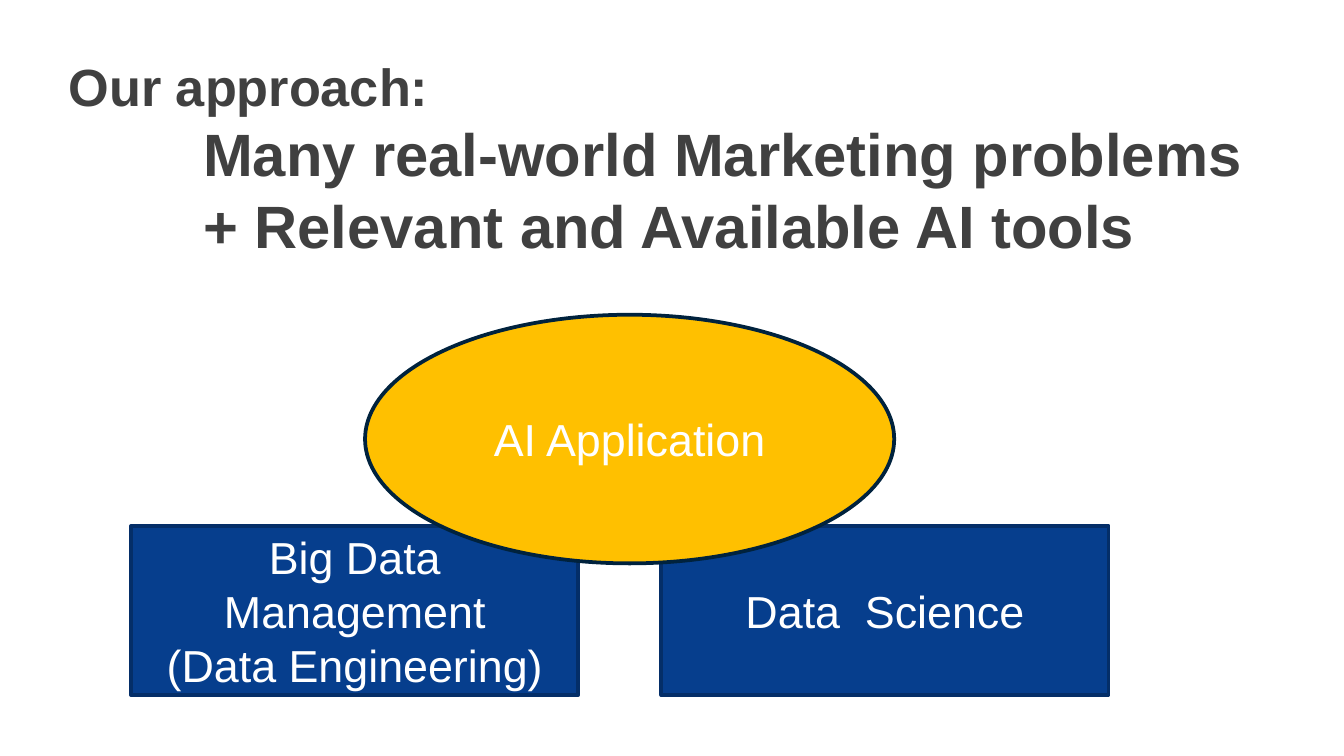
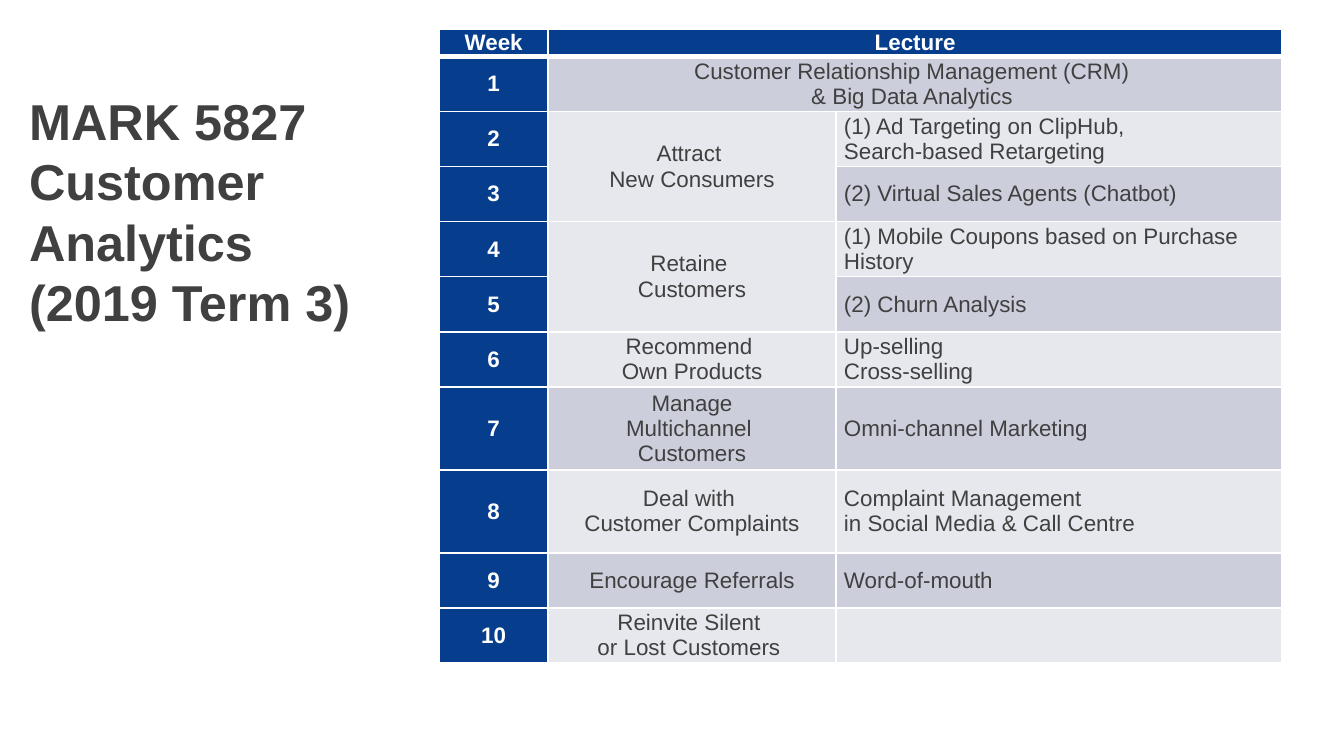
from dataclasses import dataclass

from lxml import etree
from pptx import Presentation
from pptx.dml.color import RGBColor
from pptx.enum import shapes, text
from pptx.oxml import ns
from pptx.util import Cm, Pt

FONT = "Arial"
WHITE, INK = "FFFFFF", "404040"
BLUE, BLUE_EDGE = "063E8D", "042E68"
GOLD, GOLD_EDGE = "FFC000", "00223D"
LIGHT, DARK = "E7E8EE", "CCCEDB"
CENTER, LEFT = text.PP_ALIGN.CENTER, text.PP_ALIGN.LEFT
TAB_STOP = Cm(2.54)


@dataclass
class Title:
    words: str
    left: float
    top: float
    width: float
    height: float
    sizes: tuple[int, ...]


@dataclass
class Block:
    words: str
    kind: shapes.MSO_SHAPE
    left: float
    top: float
    width: float
    height: float
    fill: str = BLUE
    edge: str = BLUE_EDGE


@dataclass
class Week:
    topic: str
    detail: str = ""
    height: float = 1.04
    topic_rows: int = 1
    topic_columns: int = 1


APPROACH_TITLE = Title(
    "Our approach: \v\tMany real-world Marketing problems \v\t+ Relevant and Available AI tools",
    1.3, 1.02, 22.86, 4.55, (28, 32))
COURSE_TITLE = Title("MARK 5827 Customer Analytics \v(2019 Term 3)", 0.55, 1.7, 6.96, 5.03, (27,))

BLOCKS = [
    Block("Big Data Management\n(Data Engineering)", shapes.MSO_SHAPE.RECTANGLE, 2.48, 9.94, 8.45, 3.2),
    Block("Data  Science", shapes.MSO_SHAPE.RECTANGLE, 12.5, 9.94, 8.45, 3.2),
    Block("AI Application", shapes.MSO_SHAPE.OVAL, 6.9, 5.95, 10, 4.7, GOLD, GOLD_EDGE),
]

COLUMN_WIDTHS = [2.06, 5.44, 8.43]
HEADER_HEIGHT = 0.52
WEEKS = [
    Week("Customer Relationship Management (CRM) \v& Big Data Analytics ", topic_columns=2),
    Week("Attract \vNew Consumers", "(1) Ad Targeting on ClipHub, \vSearch-based Retargeting", topic_rows=2),
    Week("", "(2) Virtual Sales Agents (Chatbot)"),
    Week("Retaine \vCustomers", "(1) Mobile Coupons based on Purchase History", topic_rows=2),
    Week("", "(2) Churn Analysis"),
    Week("Recommend \vOwn Products", "Up-selling\vCross-selling"),
    Week("Manage\vMultichannel \vCustomers", "Omni-channel Marketing", 1.57),
    Week("Deal with \vCustomer Complaints", "Complaint Management \vin Social Media & Call Centre", 1.57),
    Week("Encourage Referrals", "Word-of-mouth"),
    Week("Reinvite Silent \vor Lost Customers "),
]


def rgb(value: str) -> RGBColor:
    return RGBColor.from_string(value)


def style_text(frame, sizes: tuple[int, ...], color: str, bold: bool, align) -> None:
    for paragraph in frame.paragraphs:
        paragraph.alignment = align
        for index, run in enumerate(paragraph.runs):
            run.font.name = FONT
            run.font.size = Pt(sizes[min(index, len(sizes) - 1)])
            run.font.bold = bold
            run.font.color.rgb = rgb(color)


def set_tab_stop(paragraph) -> None:
    stops = etree.SubElement(paragraph._p.get_or_add_pPr(), ns.qn("a:tabLst"))
    etree.SubElement(stops, ns.qn("a:tab"), pos=str(TAB_STOP), algn="l")


def draw_title(slide, title: Title) -> None:
    box = slide.shapes.add_textbox(Cm(title.left), Cm(title.top), Cm(title.width), Cm(title.height))
    frame = box.text_frame
    frame.word_wrap = True
    frame.margin_left = frame.margin_right = frame.margin_top = frame.margin_bottom = 0
    frame.text = title.words
    style_text(frame, title.sizes, INK, True, LEFT)
    set_tab_stop(frame.paragraphs[0])


def draw_block(slide, block: Block) -> None:
    shape = slide.shapes.add_shape(
        block.kind, Cm(block.left), Cm(block.top), Cm(block.width), Cm(block.height))
    shape.shadow.inherit = False
    shape.fill.solid()
    shape.fill.fore_color.rgb = rgb(block.fill)
    shape.line.color.rgb = rgb(block.edge)
    shape.line.width = Pt(2)
    frame = shape.text_frame
    frame.word_wrap = True
    frame.vertical_anchor = text.MSO_ANCHOR.MIDDLE
    frame.text = block.words
    style_text(frame, (24,), WHITE, False, CENTER)


def draw_borders(cell, bottom: int) -> None:
    properties = cell._tc.get_or_add_tcPr()
    for side, width in (("L", 1), ("R", 1), ("T", 1), ("B", bottom)):
        line = etree.SubElement(properties, ns.qn(f"a:ln{side}"), w=str(Pt(width)))
        fill = etree.SubElement(line, ns.qn("a:solidFill"))
        etree.SubElement(fill, ns.qn("a:srgbClr"), val=WHITE)


def fill_cell(cell, words: str, fill: str, align=CENTER, heading: bool = False, bottom: int = 1) -> None:
    draw_borders(cell, bottom)
    cell.fill.solid()
    cell.fill.fore_color.rgb = rgb(fill)
    cell.margin_left = cell.margin_right = Cm(0.15)
    cell.margin_top = cell.margin_bottom = 0
    cell.vertical_anchor = text.MSO_ANCHOR.MIDDLE
    cell.text_frame.text = words
    style_text(cell.text_frame, (12,), WHITE if heading else INK, heading, align)


def draw_schedule(slide) -> None:
    heights = [HEADER_HEIGHT] + [week.height for week in WEEKS]
    table = slide.shapes.add_table(
        len(heights), len(COLUMN_WIDTHS), Cm(8.3), Cm(0.55),
        Cm(sum(COLUMN_WIDTHS)), Cm(sum(heights))).table
    table.horz_banding = False
    for column, width in zip(table.columns, COLUMN_WIDTHS):
        column.width = Cm(width)
    for row, height in zip(table.rows, heights):
        row.height = Cm(height)

    for column, words in enumerate(("Week", "Lecture", "")):
        fill_cell(table.cell(0, column), words, BLUE, heading=True, bottom=3)
    table.cell(0, 1).merge(table.cell(0, 2))

    for number, week in enumerate(WEEKS, start=1):
        band = DARK if number % 2 else LIGHT
        topic = table.cell(number, 1)
        fill_cell(table.cell(number, 0), str(number), BLUE, heading=True)
        fill_cell(topic, week.topic, band)
        fill_cell(table.cell(number, 2), week.detail, band, LEFT)
        if week.topic_rows * week.topic_columns > 1:
            topic.merge(table.cell(number + week.topic_rows - 1, week.topic_columns))


def main() -> None:
    presentation = Presentation()
    presentation.slide_width, presentation.slide_height = Cm(25.4), Cm(14.29)
    blank = presentation.slide_layouts[6]

    approach = presentation.slides.add_slide(blank)
    draw_title(approach, APPROACH_TITLE)
    for block in BLOCKS:
        draw_block(approach, block)

    course = presentation.slides.add_slide(blank)
    draw_title(course, COURSE_TITLE)
    draw_schedule(course)

    presentation.save("out.pptx")


if __name__ == "__main__":
    main()
